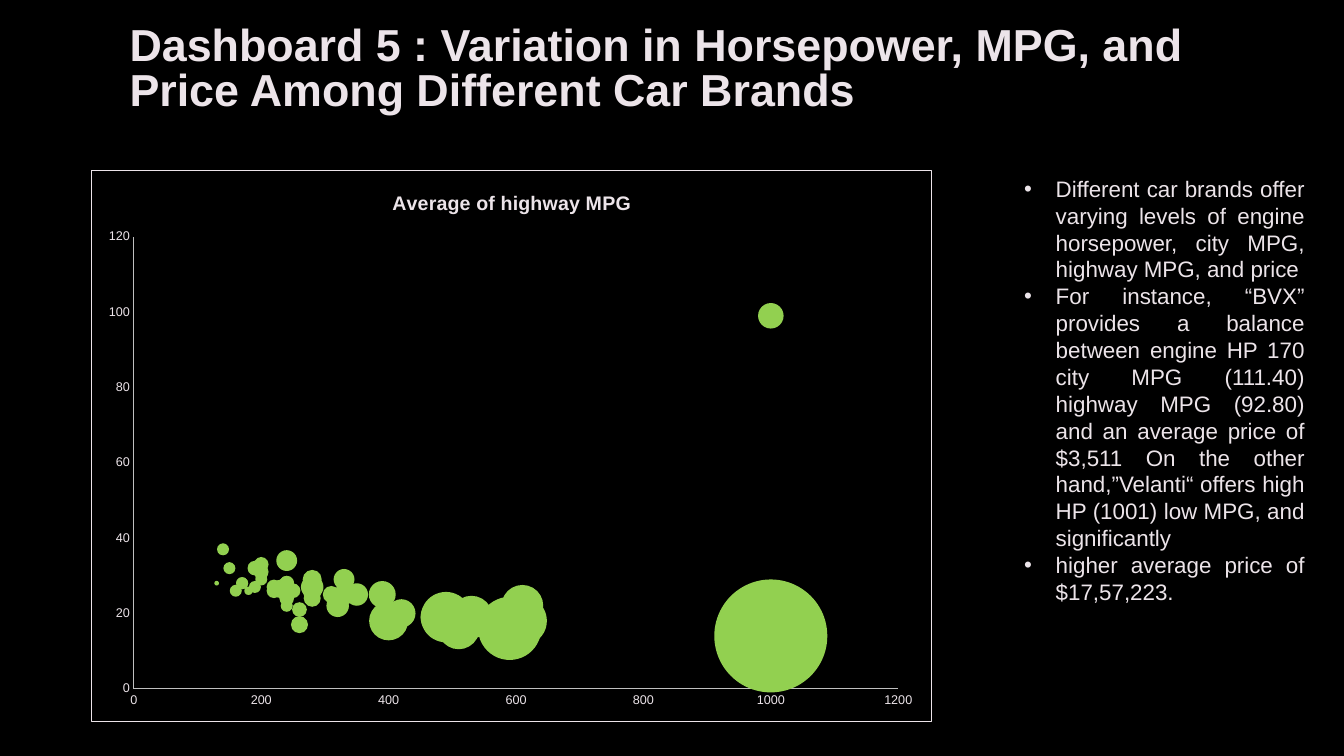
from lxml import etree
from pptx import Presentation
from pptx.chart.data import BubbleChartData
from pptx.dml.color import RGBColor
from pptx.enum.chart import XL_CHART_TYPE, XL_TICK_MARK
from pptx.enum.shapes import MSO_SHAPE
from pptx.enum.text import MSO_ANCHOR, PP_ALIGN
from pptx.oxml import parse_xml
from pptx.oxml.ns import nsdecls, qn
from pptx.util import Pt

BUBBLE = XL_CHART_TYPE.BUBBLE
NO_TICK = XL_TICK_MARK.NONE
RECTANGLE = MSO_SHAPE.RECTANGLE
TOP, MIDDLE = MSO_ANCHOR.TOP, MSO_ANCHOR.MIDDLE
LEFT, JUSTIFY = PP_ALIGN.LEFT, PP_ALIGN.JUSTIFY

EMU_PER_PX = 9525
FONT = "Arial"
COLORS = {"black": "000000", "text": "ECE4E9", "axis": "BFBFBF", "bubble": "92D050"}

TITLE = "Dashboard 5 : Variation in Horsepower, MPG, and Price Among Different Car Brands"
POINTS = [
    "Different car brands offer varying levels of engine horsepower, city MPG, "
    "highway MPG, and price",
    "For instance, “BVX” provides a balance between engine HP 170 city MPG (111.40) "
    "highway MPG (92.80) and an average price of $3,511 On the other hand,”Velanti“ "
    "offers high HP (1001) low MPG, and significantly",
    "higher average price of $17,57,223.",
]
CHART_TITLE = "Average of highway MPG"

# Horsepower, highway MPG, price in thousands
CARS = [
    (240, 28, 30), (240, 34, 60), (480, 19, 200), (280, 29, 50),
    (530, 19, 250), (330, 29, 60), (1000, 14, 1760), (220, 27, 30),
    (330, 25, 60), (250, 26, 30), (230, 26, 30), (240, 22, 20),
    (510, 16, 240), (140, 37, 20), (240, 24, 30), (350, 25, 50),
    (260, 21, 30), (200, 33, 30), (260, 17, 40), (200, 30, 20),
    (310, 25, 40), (200, 31, 30), (610, 18, 330), (320, 22, 70),
    (280, 26, 50), (280, 24, 40), (280, 27, 70), (420, 20, 110),
    (590, 16, 550), (170, 28, 20), (610, 22, 240), (350, 25, 70),
    (170, 28, 20), (240, 28, 30), (180, 26, 10), (130, 28, 3),
    (190, 27, 20), (390, 25, 100), (490, 19, 350), (220, 26, 30),
    (150, 32, 20), (400, 18, 210), (200, 29, 20), (160, 26, 20),
    (1000, 99, 90), (240, 26, 30), (190, 32, 30), (230, 27, 30),
]


def px(value):
    return value * EMU_PER_PX


def rgb(name):
    return RGBColor.from_string(COLORS[name])


def apply_format(target, values):
    for name, value in values.items():
        setattr(target, name, value)


def style_font(font, size, bold=False):
    apply_format(font, {"name": FONT, "size": Pt(size), "bold": bold})
    font.color.rgb = rgb("text")


def style_line(line, color):
    line.color.rgb = rgb(color)
    line.width = Pt(0.75)


def add_backdrop(page, width, height):
    box = page.shapes.add_shape(RECTANGLE, 0, 0, px(width), px(height))
    box.shadow.inherit = False
    box.fill.solid()
    box.fill.fore_color.rgb = rgb("black")
    box.line.color.rgb = rgb("black")
    box.line.width = Pt(1)


def add_bullet(para, indent):
    properties = para._p.get_or_add_pPr()
    properties.set("marL", str(px(indent)))
    properties.set("indent", str(-px(indent)))
    etree.SubElement(properties, qn("a:buFont")).set("typeface", FONT)
    etree.SubElement(properties, qn("a:buChar")).set("char", "•")


def add_text(page, place, texts, size, para_format, anchor=TOP, bold=False, indent=0):
    box = page.shapes.add_textbox(*map(px, place))
    frame = box.text_frame
    apply_format(frame, {"word_wrap": True, "vertical_anchor": anchor})
    for index, text in enumerate(texts):
        para = frame.add_paragraph() if index else frame.paragraphs[0]
        apply_format(para, para_format)
        if indent:
            add_bullet(para, indent)
        span = para.add_run()
        span.text = text
        style_font(span.font, size, bold)


def style_axis(axis, maximum, step):
    apply_format(axis, {
        "minimum_scale": 0, "maximum_scale": maximum, "major_unit": step,
        "has_major_gridlines": False, "has_minor_gridlines": False,
        "major_tick_mark": NO_TICK, "minor_tick_mark": NO_TICK,
    })
    style_font(axis.tick_labels.font, 9)
    style_line(axis.format.line, "axis")


def set_plot_layout(chart, x, y, w, h):
    area = chart._chartSpace.chart.plotArea
    for old in area.findall(qn("c:layout")):
        area.remove(old)
    sizes = "".join(f'<c:{key} val="{value}"/>'
                    for key, value in {"x": x, "y": y, "w": w, "h": h}.items())
    area.insert(0, parse_xml(
        f'<c:layout {nsdecls("c")}><c:manualLayout><c:layoutTarget val="inner"/>'
        f'<c:xMode val="edge"/><c:yMode val="edge"/>{sizes}</c:manualLayout></c:layout>'))


def add_chart_border(chart):
    border = parse_xml(
        f'<c:spPr {nsdecls("c", "a")}><a:noFill/><a:ln w="{Pt(0.75)}"><a:solidFill>'
        f'<a:srgbClr val="{COLORS["text"]}"/></a:solidFill></a:ln></c:spPr>')
    chart._chartSpace.chart.addnext(border)


def add_bubble_chart(page, place):
    data = BubbleChartData()
    series_data = data.add_series(CHART_TITLE)
    for horsepower, mpg, thousands in CARS:
        series_data.add_data_point(horsepower, mpg, thousands * 1000)
    chart = page.shapes.add_chart(BUBBLE, *map(px, place), data).chart
    chart.has_legend = False
    style_font(chart.font, 10)

    # Heading
    chart.has_title = True
    para = chart.chart_title.text_frame.paragraphs[0]
    span = para.add_run()
    span.text = CHART_TITLE
    style_font(span.font, 14, bold=True)

    # Axes and frame
    style_axis(chart.category_axis, 1200, 200)
    style_axis(chart.value_axis, 120, 20)
    set_plot_layout(chart, 0.05, 0.12, 0.91, 0.82)
    add_chart_border(chart)

    # Bubbles
    plot = chart.plots[0]
    plot.bubble_scale = 100
    bubbles = plot.series[0].format
    bubbles.fill.solid()
    bubbles.fill.fore_color.rgb = rgb("bubble")
    bubbles.line.fill.background()


def main():
    deck = Presentation()
    apply_format(deck, {"slide_width": px(1280), "slide_height": px(720)})
    page = deck.slides.add_slide(deck.slide_layouts[6])

    add_backdrop(page, 1280, 720)
    add_text(page, (114, 18, 1042, 98), [TITLE], 32,
             {"alignment": LEFT, "line_spacing": 0.85}, anchor=MIDDLE, bold=True)
    add_text(page, (966, 162, 286, 449), POINTS, 16, {"alignment": JUSTIFY}, indent=30)
    add_bubble_chart(page, (87, 162, 801, 526))

    deck.save("out.pptx")


if __name__ == "__main__":
    main()
